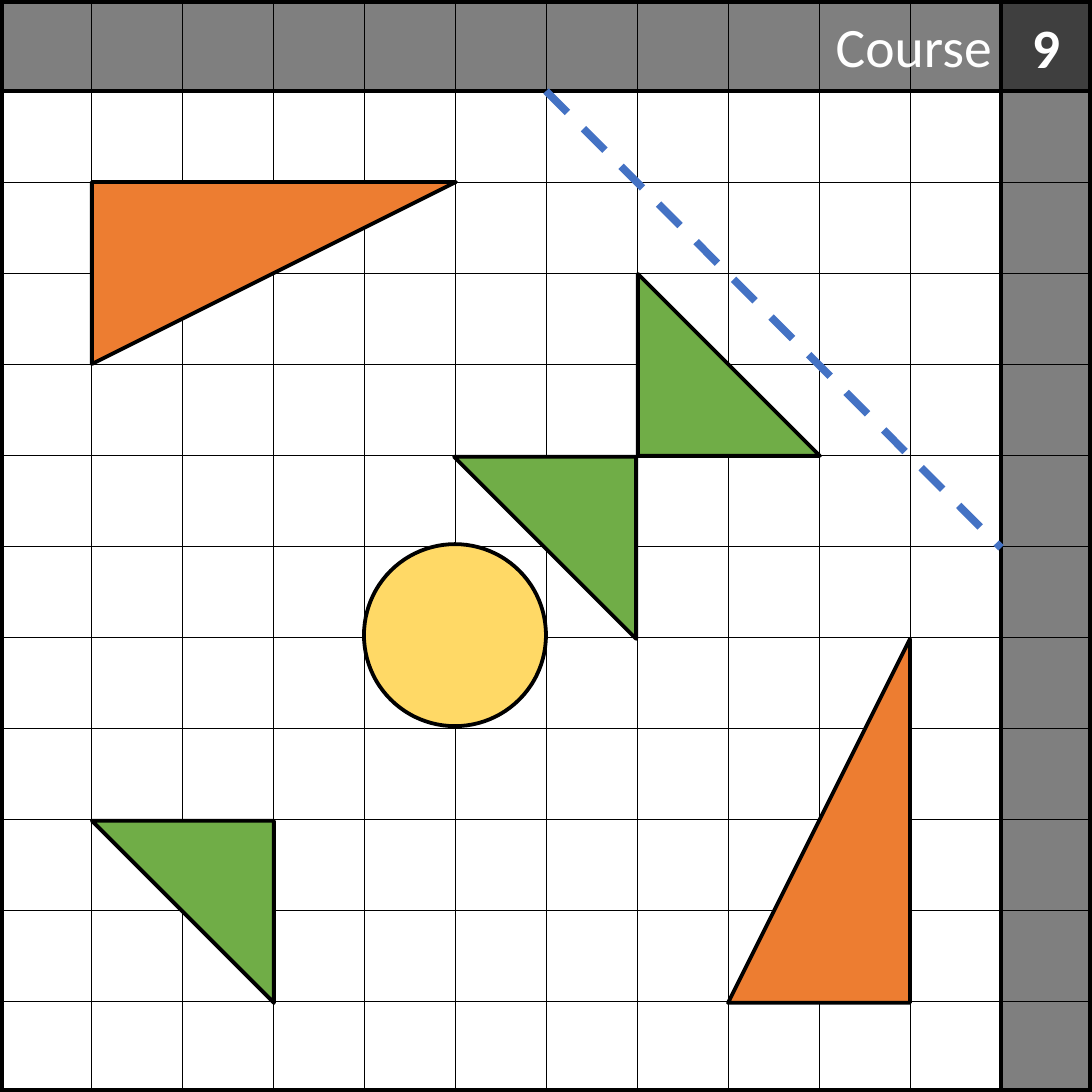
"""Build the course 9 grid map with its obstacles and boundary line."""
from lxml import etree
from pptx import Presentation
from pptx.dml.color import RGBColor
from pptx.enum import dml, shapes, text
from pptx.oxml import ns
from pptx.util import Inches, Pt

BLACK = RGBColor(0x00, 0x00, 0x00)
WHITE = RGBColor(0xFF, 0xFF, 0xFF)
GREEN = RGBColor(0x70, 0xAD, 0x47)
ORANGE = RGBColor(0xED, 0x7D, 0x31)
YELLOW = RGBColor(0xFF, 0xD9, 0x66)
BLUE = RGBColor(0x44, 0x72, 0xC4)
SIZE = 12
RECTANGLE = shapes.MSO_SHAPE.RECTANGLE
TRIANGLE = shapes.MSO_SHAPE.RIGHT_TRIANGLE

deck = Presentation()
deck.slide_width = deck.slide_height = Inches(SIZE)
page = deck.slides.add_slide(deck.slide_layouts[5])


def add_figure(kind, left, top, width, height, color, rotation=0, weight=3):
    figure = page.shapes.add_shape(
        kind, Inches(left), Inches(top), Inches(width), Inches(height))
    figure.shadow.inherit = False
    figure.rotation = rotation
    figure.fill.solid()
    figure.fill.fore_color.rgb = color
    figure.line.color.rgb = BLACK
    figure.line.width = Pt(weight)
    return figure


def add_line(start_x, start_y, end_x, end_y, color, weight):
    line = page.shapes.add_connector(
        shapes.MSO_CONNECTOR.STRAIGHT,
        Inches(start_x), Inches(start_y), Inches(end_x), Inches(end_y))
    line.line.color.rgb = color
    line.line.width = Pt(weight)
    etree.SubElement(line._element.spPr, ns.qn("a:effectLst"))
    return line


add_figure(RECTANGLE, 0, 0, SIZE, SIZE, WHITE, weight=6)
for step in range(1, SIZE):
    add_line(0, step, SIZE, step, BLACK, 0.5)
    add_line(step, 0, step, SIZE, BLACK, 0.5)

for left, top, rotation in [(0, 0, 0), (5.5, 5.52, 270)]:
    band = add_figure(RECTANGLE, left, top, SIZE, 1, BLACK, rotation)
    shade = band._element.spPr.find(ns.qn("a:solidFill"))[0]
    etree.SubElement(shade, ns.qn("a:alpha"), val="50000")

boundary = add_line(6, 1, 11, 6.02, BLUE, 6)
boundary.line.dash_style = dml.MSO_LINE.DASH

for left, top, rotation in [(1.01, 9.02, 180), (7.01, 3.01, 0), (4.99, 5.02, 180)]:
    add_figure(TRIANGLE, left, top, 2, 2, GREEN, rotation)
add_figure(TRIANGLE, 2.01, 1, 2, 4, ORANGE, 90)
mirrored = add_figure(TRIANGLE, 8, 7.02, 2, 4, ORANGE, 180)
mirrored._element.spPr.xfrm.set("flipV", "1")
add_figure(shapes.MSO_SHAPE.OVAL, 4, 5.98, 2, 2, YELLOW)

number = page.shapes.add_textbox(Inches(11.24), Inches(0.09), Inches(0.51), Inches(1.58))
title = page.shapes.title
title.left, title.top = Inches(6.09), Inches(0.08)
title.width, title.height = Inches(4.91), Inches(0.84)
page.shapes._spTree.append(title._element)

for box, words, bold, wrap, alignment in [
        (number, "9", True, False, text.PP_ALIGN.LEFT),
        (title, "Course", False, True, text.PP_ALIGN.RIGHT)]:
    frame = box.text_frame
    frame.word_wrap = wrap
    frame.auto_size = text.MSO_AUTO_SIZE.NONE
    frame.vertical_anchor = text.MSO_ANCHOR.TOP
    para = frame.paragraphs[0]
    para.text = words
    para.alignment = alignment
    para.font.name = "Calibri"
    para.font.size = Pt(44)
    para.font.bold = bold
    para.font.color.rgb = WHITE

deck.save("out.pptx")
